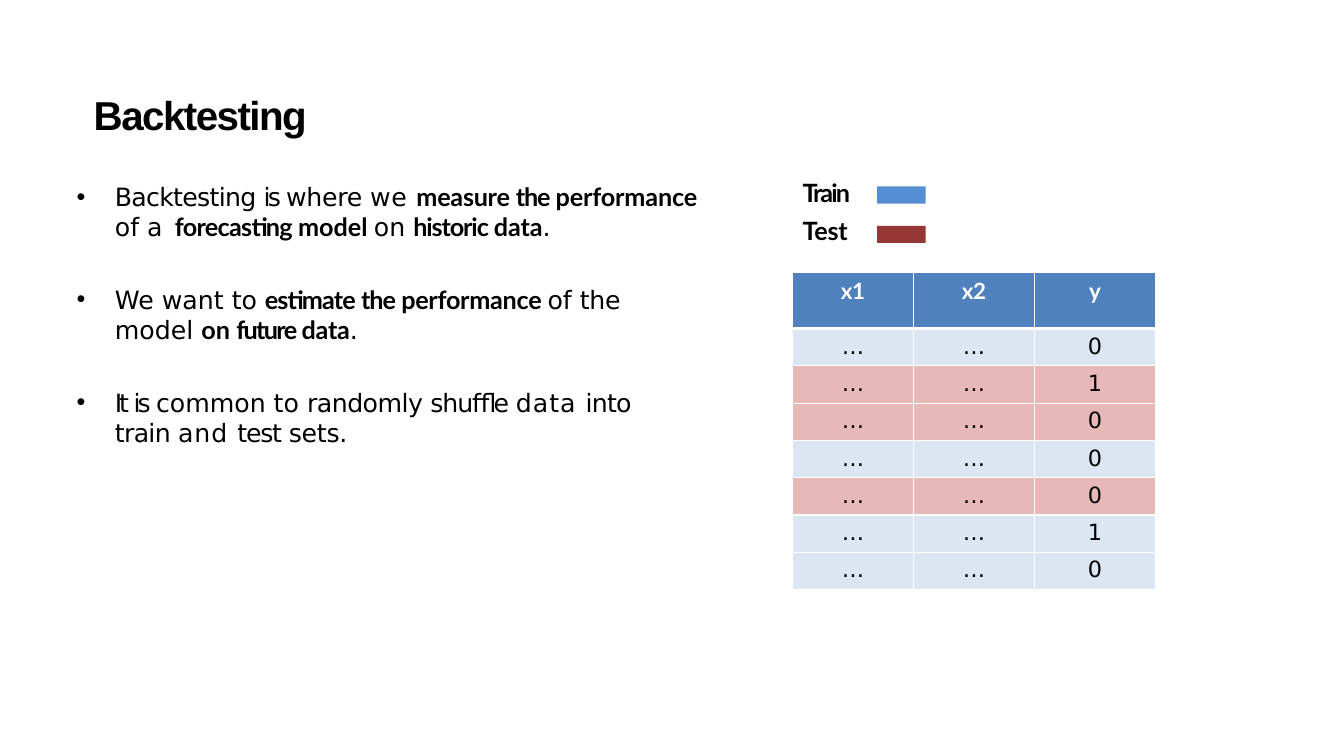
from dataclasses import dataclass

from lxml import etree
from pptx import Presentation
from pptx import util as u
from pptx.dml.color import RGBColor
from pptx.enum import shapes, text
from pptx.oxml.ns import qn


@dataclass(frozen=True)
class Theme:
    ink: str = "000000"
    white: str = "FFFFFF"
    header: str = "4F81BD"
    train_row: str = "DCE6F2"
    test_row: str = "E6B9B8"
    train_key: str = "558ED5"
    test_key: str = "953735"
    title_font: str = "Arial"
    body_font: str = "DejaVu Sans"
    strong_font: str = "Lato"
    title_size: float = 28.8
    body_size: float = 18
    table_size: float = 16


class SlideBuilder:
    def __init__(self, prs, theme):
        self.theme = theme
        self.s = prs.slides.add_slide(prs.slide_layouts[6])

    def style_run(self, r, size, color, bold=False, spacing=0, font=None):
        t = self.theme
        r.font.name = font or (t.strong_font if bold else t.body_font)
        r.font.size = u.Pt(size)
        r.font.bold = bold
        r.font.color.rgb = RGBColor.from_string(color)
        r._r.get_or_add_rPr().set("spc", str(round(spacing * 100)))

    def text_box(self, x, y, w, h, anchor=text.MSO_ANCHOR.TOP, left=0):
        box = self.s.shapes.add_textbox(*map(u.Inches, (x, y, w, h)))
        tf = box.text_frame
        tf.word_wrap = True
        tf.vertical_anchor = anchor
        tf.margin_left = u.Inches(left)
        tf.margin_right = tf.margin_bottom = 0
        tf.margin_top = u.Inches(0.01)
        return tf

    def title(self, words, x, y, w, h):
        t = self.theme
        tf = self.text_box(x, y, w, h, text.MSO_ANCHOR.MIDDLE, left=0.01)
        tf.text = words
        p = tf.paragraphs[0]
        p.space_before = u.Pt(1)
        self.style_run(p.runs[0], t.title_size, t.ink, True, -1.1, t.title_font)

    def paragraph(self, p, runs, line_spacing, before=0):
        """Each run is (words, letter spacing, bold)."""
        p.line_spacing = line_spacing
        p.space_before = u.Pt(before)
        for words, spacing, bold in runs:
            r = p.add_run()
            r.text = words
            self.style_run(r, self.theme.body_size, self.theme.ink, bold, spacing)

    def bullets(self, items, x, y, w, h, line_spacing):
        """Each item is (runs, space before, has bullet)."""
        tf = self.text_box(x, y, w, h)
        for i, (runs, before, bullet) in enumerate(items):
            p = tf.add_paragraph() if i else tf.paragraphs[0]
            self.paragraph(p, runs, line_spacing, before)
            pPr = p._p.get_or_add_pPr()
            pPr.set("marL", str(u.Inches(0.39)))
            pPr.set("indent", str(u.Inches(-0.38 if bullet else 0)))
            if bullet:
                etree.SubElement(pPr, qn("a:buFont"), typeface="Arial")
                etree.SubElement(pPr, qn("a:buChar"), char="•")

    def swatch(self, x, y, w, h, color):
        sp = self.s.shapes.add_shape(shapes.MSO_SHAPE.RECTANGLE,
                                     *map(u.Inches, (x, y, w, h)))
        sp.shadow.inherit = False
        sp.fill.solid()
        sp.fill.fore_color.rgb = RGBColor.from_string(color)
        sp.line.fill.background()

    def border(self, cell, side, width):
        ln = etree.SubElement(cell._tc.get_or_add_tcPr(), qn(f"a:ln{side}"),
                              w=str(u.Pt(width)))
        fill = etree.SubElement(ln, qn("a:solidFill"))
        etree.SubElement(fill, qn("a:srgbClr"), val=self.theme.white)

    def cell(self, cell, words, fill, color, bold, spacing, before, widths):
        cell.margin_left = cell.margin_right = cell.margin_bottom = 0
        cell.margin_top = u.Inches(0.05)
        for side, width in zip("LRTB", widths):
            self.border(cell, side, width)
        cell.fill.solid()
        cell.fill.fore_color.rgb = RGBColor.from_string(fill)
        p = cell.text_frame.paragraphs[0]
        p.text = words
        p.alignment = text.PP_ALIGN.CENTER
        p.space_before = u.Pt(before)
        self.style_run(p.runs[0], self.theme.table_size, color, bold, spacing)

    def table(self, header, rows, x, y, col_w, header_h, row_h):
        """Each row is (y value, is test row)."""
        t = self.theme
        n, m = len(rows) + 1, len(header)
        table = self.s.shapes.add_table(
            n, m, u.Inches(x), u.Inches(y), u.Inches(col_w * m),
            u.Inches(header_h + row_h * len(rows))).table
        for col in table.columns:
            col.width = u.Inches(col_w)
        for i, row in enumerate(table.rows):
            row.height = u.Inches(row_h if i else header_h)
        for c, name in enumerate(header):
            self.cell(table.cell(0, c), name, t.header, t.white, True,
                      -0.5 if name == "y" else -0.2, 3.5, (1, 1, 1, 3))
        for i, (value, is_test) in enumerate(rows, 1):
            fill = t.test_row if is_test else t.train_row
            for c, words in enumerate(("…", "…", value)):
                self.cell(table.cell(i, c), words, fill, t.ink, False,
                          2.2 if words == "…" else -0.5, 3.6,
                          (1, 1, 3 if i == 1 else 1, 1))


def main():
    prs = Presentation()
    prs.slide_width, prs.slide_height = u.Inches(13.33), u.Inches(7.5)
    theme = Theme()
    b = SlideBuilder(prs, theme)

    # Title
    b.title("Backtesting", 0.92, 0.87, 11.5, 0.51)

    # Definition
    measure = [("Backtesting ", -0.5, False), ("is ", -2, False),
               ("where ", -0.2, False), ("we ", 0.5, False),
               ("measure ", -0.2, True), ("the ", -0.8, True),
               ("performance", -0.1, True)]
    model = [("of ", 0, False), ("a ", 1.5, False),
             ("forecasting ", -0.5, True), ("model ", 0, True),
             ("on ", 0, False), ("historic ", -0.8, True),
             ("data", -0.1, True), (".", -0.1, False)]
    b.bullets([(measure, 1, True), (model, 0, False)],
              0.75, 1.79, 6.53, 0.62, u.Pt(21.4))

    # Purpose and common practice
    estimate = [("We want ", 0, False), ("to ", -0.1, False),
                ("estimate ", -0.6, True), ("the ", -0.7, True),
                ("performance ", -0.2, True), ("of ", 0, False),
                ("the ", -0.2, False), ("model ", 0, False),
                ("on ", 0, True), ("future ", -1.2, True),
                ("data", -0.2, True), (".", -0.2, False)]
    shuffle = [("It ", -2.4, False), ("is ", -2, False),
               ("common to ", 0, False), ("randomly ", -0.4, False),
               ("shuffle ", -0.8, False), ("data ", 0.7, False),
               ("into ", -0.6, False), ("train ", -0.5, False),
               ("and ", 0.7, False), ("test ", -0.9, False),
               ("sets.", -0.2, False)]
    b.bullets([(estimate, 0.5, True), (shuffle, 29.5, True)],
              0.75, 2.8, 6.11, 1.65, 1.02)

    # Train and test rows
    rows = [("0", False), ("1", True), ("0", True), ("0", False),
            ("0", True), ("1", False), ("0", False)]
    b.table(("x1", "x2", "y"), rows, 7.86, 2.7, 1.2, 0.56, 0.37)

    # Legend
    tf = b.text_box(7.95, 1.68, 0.59, 0.72, left=0.01)
    b.paragraph(tf.paragraphs[0],
                [("Train ", -1.4, True), ("Test", -0.2, True)], 1.24, 1)
    for i, color in enumerate((theme.train_key, theme.test_key)):
        b.swatch(8.7, 1.85 + 0.39 * i, 0.48, 0.17, color)

    prs.save("out.pptx")


if __name__ == "__main__":
    main()
